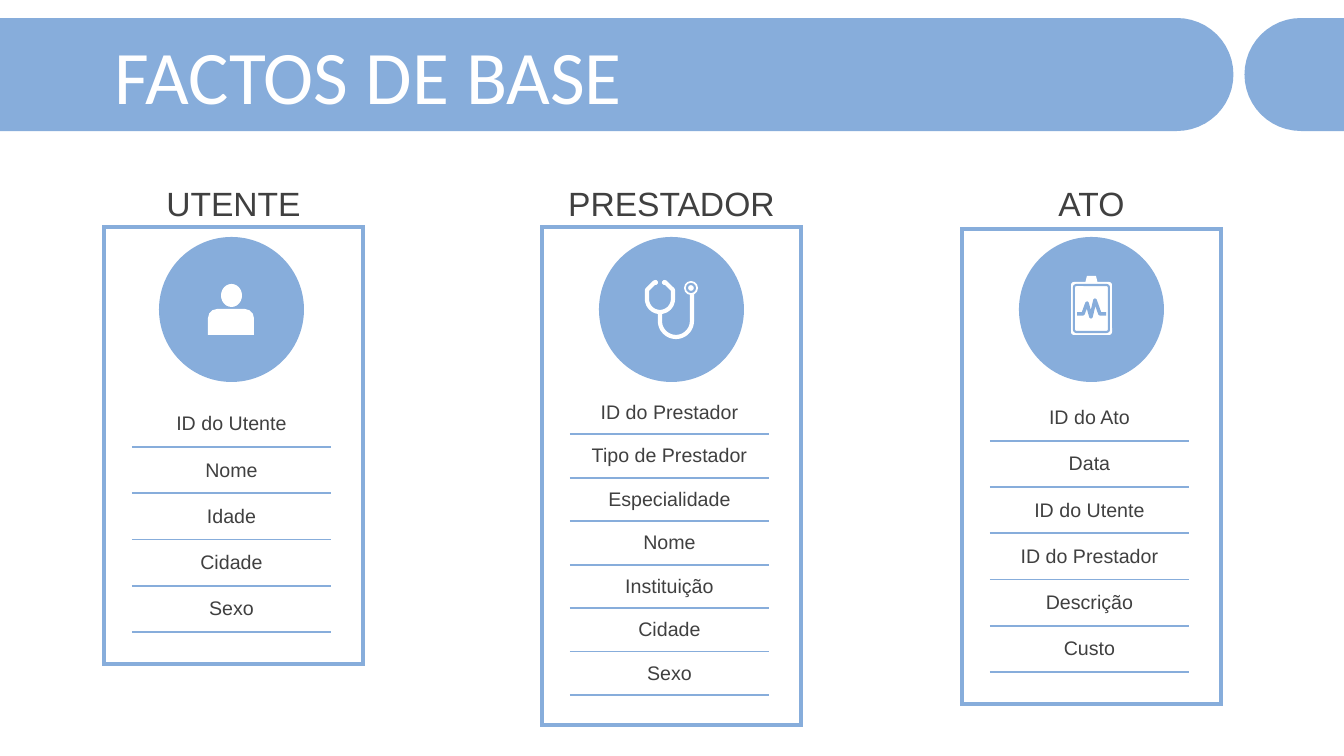
from dataclasses import dataclass
from math import cos, radians, sin

from lxml.etree import SubElement
from pptx import Presentation
from pptx.dml.color import RGBColor
from pptx.enum.shapes import MSO_SHAPE
from pptx.enum.text import MSO_ANCHOR, PP_ALIGN
from pptx.oxml.ns import qn
from pptx.util import Pt

BLUE = RGBColor(0x87, 0xAD, 0xDB)
WHITE = RGBColor(0xFF, 0xFF, 0xFF)
GRAY = RGBColor(0x40, 0x40, 0x40)
SCALE = 914400 / 100.8
COLS = (28, 199, 32)
TOP, BASE = 18, 131   # upper and lower edge of the header band
ROUND = {MSO_SHAPE.ROUNDED_RECTANGLE: 0.07,
         MSO_SHAPE.ROUND_2_SAME_RECTANGLE: 0.35}
Points = list[tuple[float, float]]


@dataclass
class Card:
    title: str
    left: int
    top: int
    disc: int   # left edge of the icon disc
    head: int   # height of the icon row
    body: int   # height of all field rows together
    tail: int   # height of each empty row below
    fields: list[str]


@dataclass
class Part:
    kind: MSO_SHAPE
    box: tuple[int, int, int, int]
    fill: RGBColor = WHITE
    edge: RGBColor | None = None


@dataclass
class Stroke:
    points: Points
    color: RGBColor
    width: float


def px(n: float) -> int:
    return round(n * SCALE)


def arc(x: float, y: float, r: float, start: int, end: int) -> Points:
    turns = [radians(start + (end - start) * i / 24) for i in range(25)]
    return [(x + r * cos(t), y + r * sin(t)) for t in turns]


CARDS = [
    Card("UTENTE", 104, 227, 159, 174, 231, 16,
         ["ID do Utente", "Nome", "Idade", "Cidade", "Sexo"]),
    Card("PRESTADOR", 542, 227, 599, 164, 304, 15,
         ["ID do Prestador", "Tipo de Prestador", "Especialidade", "Nome",
          "Instituição", "Cidade", "Sexo"]),
    Card("ATO", 962, 229, 1019, 166, 277, 16,
         ["ID do Ato", "Data", "ID do Utente", "ID do Prestador",
          "Descrição", "Custo"]),
]

PARTS = [
    # Person
    Part(MSO_SHAPE.OVAL, (221, 284, 21, 23)),
    Part(MSO_SHAPE.ROUND_2_SAME_RECTANGLE, (208, 309, 46, 26)),
    # Stethoscope tips and chest piece
    Part(MSO_SHAPE.OVAL, (653, 280, 5, 5)),
    Part(MSO_SHAPE.OVAL, (662, 280, 5, 5)),
    Part(MSO_SHAPE.OVAL, (684, 281, 14, 14)),
    Part(MSO_SHAPE.OVAL, (687, 284, 8, 8), WHITE, BLUE),
    # Clipboard
    Part(MSO_SHAPE.TRAPEZOID, (1085, 276, 13, 8)),
    Part(MSO_SHAPE.ROUNDED_RECTANGLE, (1071, 282, 41, 53)),
    Part(MSO_SHAPE.ROUNDED_RECTANGLE, (1074, 285, 35, 47), WHITE, BLUE),
]

STROKES = [
    # Stethoscope tubes
    Stroke([(655, 282), (647, 290), *arc(660, 299, 13, 180, 0),
            (673, 290), (665, 282)], WHITE, 3),
    Stroke([(660, 312), *arc(676, 321, 16, 180, 0), (692, 294)], WHITE, 3),
    # Pulse on the clipboard
    Stroke([(1077, 314), (1083, 314), (1087, 303), (1091, 317), (1095, 300),
            (1100, 314), (1106, 314)], BLUE, 2.5),
]


def outline(shapes, points: Points, close: bool):
    spots = [(px(x), px(y)) for x, y in points]
    pen = shapes.build_freeform(*spots[0], scale=1.0)
    pen.add_line_segments(spots[1:], close=close)
    shape = pen.convert_to_shape()
    shape.shadow.inherit = False
    return shape


def solid(shape, fill: RGBColor, edge: RGBColor | None = None) -> None:
    shape.shadow.inherit = False
    shape.fill.solid()
    shape.fill.fore_color.rgb = fill
    if edge is None:
        shape.line.fill.background()
    else:
        shape.line.color.rgb = edge
        shape.line.width = Pt(1.5)


def add_part(shapes, part: Part) -> None:
    shape = shapes.add_shape(part.kind, *map(px, part.box))
    solid(shape, part.fill, part.edge)
    if part.kind in ROUND:
        shape.adjustments[0] = ROUND[part.kind]


def add_stroke(shapes, stroke: Stroke) -> None:
    shape = outline(shapes, stroke.points, False)
    shape.fill.background()
    shape.line.color.rgb = stroke.color
    shape.line.width = Pt(stroke.width)


def write(para, text: str, size: int, font: str, color: RGBColor) -> None:
    run = para.add_run()
    run.text = text
    run.font.size = Pt(size)
    run.font.name = font
    run.font.color.rgb = color


def add_text(shapes, box: tuple[int, int, int, int]):
    frame = shapes.add_textbox(*map(px, box)).text_frame
    frame.word_wrap = True
    return frame


def border(cell, widths: dict[str, float]) -> None:
    props = cell._tc.get_or_add_tcPr()
    for side, width in widths.items():
        line = SubElement(props, qn(f"a:ln{side}"), w=str(Pt(width)))
        if width:
            fill = SubElement(line, qn("a:solidFill"))
            SubElement(fill, qn("a:srgbClr"), val=str(BLUE))
        else:
            SubElement(line, qn("a:noFill"))


def edges(row: int, col: int, count: int) -> dict[str, float]:
    return {
        "L": 3 * (col == 0),
        "R": 3 * (col == 2 or row == col == 0),
        "T": 3 * (row == 0) or 1.5 * (col == 1 and 2 <= row <= count + 1),
        "B": 3 * (row == count + 2) or 1.5 * (col == 1 and 1 <= row <= count),
    }


def add_grid(shapes, card: Card) -> None:
    count = len(card.fields)
    rows = [card.head, *[card.body / count] * count, card.tail, card.tail]
    box = (card.left, card.top, sum(COLS), sum(rows))
    grid = shapes.add_table(len(rows), len(COLS), *map(px, box)).table
    grid.first_row = grid.horz_banding = False
    for col, width in zip(grid.columns, COLS):
        col.width = px(width)
    for r, high in enumerate(rows):
        grid.rows[r].height = px(high)
        for c in range(len(COLS)):
            cell = grid.cell(r, c)
            border(cell, edges(r, c, count))
            cell.fill.background()
            cell.margin_left = cell.margin_right = 0
            cell.margin_top = cell.margin_bottom = 0
            cell.vertical_anchor = MSO_ANCHOR.MIDDLE
            para = cell.text_frame.paragraphs[0]
            if c == 1 and 1 <= r <= count:
                para.alignment = PP_ALIGN.CENTER
                write(para, card.fields[r - 1], 14, "Arial", GRAY)
            else:
                SubElement(para._p, qn("a:endParaRPr"), sz="600")
    grid.cell(0, 0).merge(grid.cell(0, 2))
    for c in (0, 2):
        grid.cell(2, c).merge(grid.cell(3, c))


def add_card(shapes, card: Card) -> None:
    frame = add_text(shapes, (card.left + 22, 178, 215, 50))
    frame.margin_left = frame.margin_right = 0
    para = frame.paragraphs[0]
    para.alignment = PP_ALIGN.CENTER
    write(para, card.title, 24, "Arial", GRAY)
    add_grid(shapes, card)
    add_part(shapes, Part(MSO_SHAPE.OVAL, (card.disc, 237, 145, 145), BLUE))


def main() -> None:
    deck = Presentation()
    deck.slide_width, deck.slide_height = px(1344), px(756)
    shapes = deck.slides.add_slide(deck.slide_layouts[6]).shapes

    # Header band in two rounded pieces, with a plain block at its start
    mid, bend = (TOP + BASE) / 2, (BASE - TOP) / 2
    band = [(0, TOP), *arc(1177, mid, bend, -90, 90), (0, BASE)]
    stub = [(1344, TOP), *arc(1301, mid, bend, 270, 90), (1344, BASE)]
    for points in (band, stub):
        solid(outline(shapes, points, True), BLUE)
    add_part(shapes, Part(MSO_SHAPE.RECTANGLE, (0, TOP, 201, BASE - TOP), BLUE))
    frame = add_text(shapes, (105, 40, 1078, 80))
    frame.vertical_anchor = MSO_ANCHOR.MIDDLE
    para = frame.paragraphs[0]
    para.line_spacing, para.space_before = 0.9, Pt(10)
    write(para, "FACTOS DE BASE", 54, "Calibri", WHITE)

    # Cards, then their icons
    for card in CARDS:
        add_card(shapes, card)
    for part in PARTS:
        add_part(shapes, part)
    for stroke in STROKES:
        add_stroke(shapes, stroke)
    deck.save("out.pptx")


if __name__ == "__main__":
    main()
